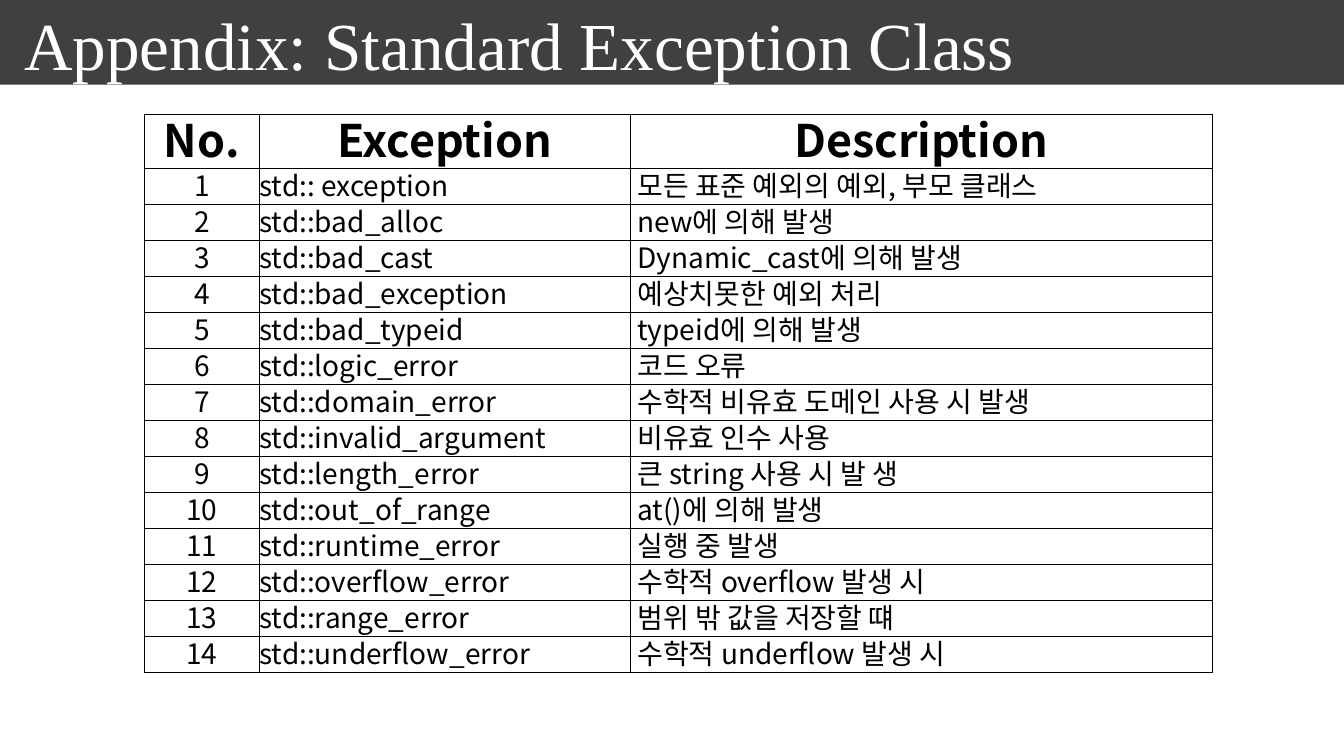
from lxml import etree
from pptx import Presentation
from pptx.dml.color import RGBColor
from pptx.enum.shapes import MSO_SHAPE
from pptx.enum.text import MSO_ANCHOR, MSO_AUTO_SIZE, PP_ALIGN
from pptx.oxml.ns import qn
from pptx.util import Pt

RECTANGLE = MSO_SHAPE.RECTANGLE
MIDDLE = MSO_ANCHOR.MIDDLE
GROW = MSO_AUTO_SIZE.SHAPE_TO_FIT_TEXT
LEFT, CENTER = PP_ALIGN.LEFT, PP_ALIGN.CENTER

BLACK = RGBColor(0x00, 0x00, 0x00)
WHITE = RGBColor(0xFF, 0xFF, 0xFF)
CHARCOAL = RGBColor(0x40, 0x40, 0x40)

TITLE_FONT = "Times New Roman"
TABLE_FONT = "Noto Sans CJK KR"
SLIDE_WIDTH, SLIDE_HEIGHT = 960, 540

HEADINGS = ("No.", "Exception", "Description")
EXCEPTIONS = (
    ("std:: exception", "모든 표준 예외의 예외, 부모 클래스"),
    ("std::bad_alloc", "new에 의해 발생"),
    ("std::bad_cast", "Dynamic_cast에 의해 발생"),
    ("std::bad_exception", "예상치못한 예외 처리"),
    ("std::bad_typeid", "typeid에 의해 발생"),
    ("std::logic_error", "코드 오류"),
    ("std::domain_error", "수학적 비유효 도메인 사용 시 발생"),
    ("std::invalid_argument", "비유효 인수 사용"),
    ("std::length_error", "큰 string 사용 시 발 생"),
    ("std::out_of_range", "at()에 의해 발생"),
    ("std::runtime_error", "실행 중 발생"),
    ("std::overflow_error", "수학적 overflow 발생 시"),
    ("std::range_error", "범위 밖 값을 저장할 떄"),
    ("std::underflow_error", "수학적 underflow 발생 시"),
)


def write(frame, text, font, size, color, bold=False, align=LEFT, spacing=1.0):
    """Put one formatted paragraph into a text frame."""
    paragraph = frame.paragraphs[0]
    paragraph.alignment = align
    paragraph.line_spacing = spacing
    run = paragraph.add_run()
    run.text = text
    run.font.name, run.font.size, run.font.bold = font, Pt(size), bold
    run.font.color.rgb = color
    east_asian = etree.SubElement(run.font._element, qn("a:ea"))
    east_asian.set("typeface", font)


class SlideBuilder:
    def __init__(self, slide):
        self.slide = slide

    def band(self, left, top, width, height, color):
        """Draw a plain bar behind everything else."""
        bar = self.slide.shapes.add_shape(
            RECTANGLE, Pt(left), Pt(top), Pt(width), Pt(height))
        bar.shadow.inherit = False
        bar.fill.solid()
        bar.fill.fore_color.rgb = color
        bar.line.fill.background()
        self.slide.shapes._spTree.insert(2, bar._element)

    def title(self, text, left, top, width, height):
        heading = self.slide.shapes.title
        heading.left, heading.top = Pt(left), Pt(top)
        heading.width, heading.height = Pt(width), Pt(height)
        frame = heading.text_frame
        frame.word_wrap = True
        frame.auto_size = GROW
        frame.vertical_anchor = MIDDLE
        write(frame, text, TITLE_FONT, 48, WHITE)

    def table(self, rows, left, top, widths, heights):
        table = self.slide.shapes.add_table(
            len(rows), len(widths), Pt(left), Pt(top),
            Pt(sum(widths)), Pt(sum(heights))).table
        table.horz_banding = False
        for column, width in zip(table.columns, widths):
            column.width = Pt(width)
        for row, height in zip(table.rows, heights):
            row.height = Pt(height)
        for r, texts in enumerate(rows):
            for c, text in enumerate(texts):
                self.cell(table.cell(r, c), text, r == 0, c)

    def cell(self, cell, text, is_header, column):
        cell.margin_left = cell.margin_right = 0
        cell.margin_top = cell.margin_bottom = 0
        if column == 2 and not is_header:
            cell.margin_left = Pt(5)
        cell.vertical_anchor = MIDDLE
        self.borders(cell)
        cell.fill.background()
        write(cell.text_frame, text, TABLE_FONT, 32 if is_header else 20, BLACK,
              bold=is_header, spacing=0.83,
              align=CENTER if is_header or column == 0 else LEFT)

    def borders(self, cell):
        properties = cell._tc.get_or_add_tcPr()
        for side in ("a:lnL", "a:lnR", "a:lnT", "a:lnB"):
            line = etree.SubElement(properties, qn(side), w=str(Pt(1)))
            fill = etree.SubElement(line, qn("a:solidFill"))
            etree.SubElement(fill, qn("a:srgbClr"), val=str(BLACK))


def main():
    presentation = Presentation()
    presentation.slide_width = Pt(SLIDE_WIDTH)
    presentation.slide_height = Pt(SLIDE_HEIGHT)
    title_only = presentation.slide_layouts[5]
    builder = SlideBuilder(presentation.slides.add_slide(title_only))

    # Title on its dark band
    builder.band(0, 0, SLIDE_WIDTH, 60.5, CHARCOAL)
    builder.title("Appendix: Standard Exception Class", 10, -1.5, 924.5, 65.5)

    # Numbered table of exception classes
    numbered = [(str(number), *entry) for number, entry in enumerate(EXCEPTIONS, 1)]
    builder.table([HEADINGS, *numbered], 103, 81.75, (82.25, 265, 415.75),
                  [38.5] + [25.72] * len(EXCEPTIONS))

    presentation.save("out.pptx")


if __name__ == "__main__":
    main()
